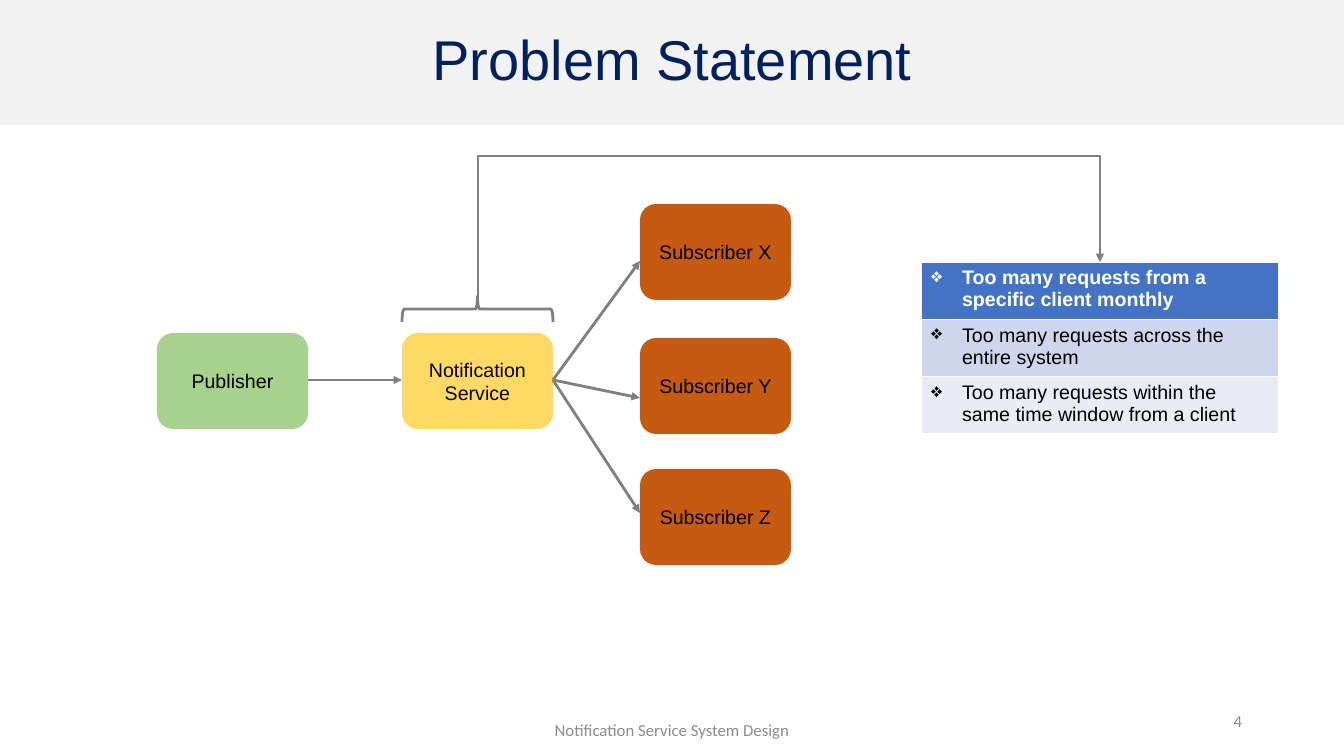
import pptx
import pptx.dml.color
import pptx.enum.shapes
import pptx.enum.text
import pptx.oxml.ns
import pptx.util
from lxml import etree

SHAPE = pptx.enum.shapes.MSO_SHAPE
CONNECTOR = pptx.enum.shapes.MSO_CONNECTOR
ALIGN = pptx.enum.text.PP_ALIGN
qn = pptx.oxml.ns.qn

EMU_PER_PX = 914400 / 100.8
NODE_WIDTH, NODE_HEIGHT = 151, 96
ARROW_Y = 380
GRAY = "808080"


def px(length):
    return pptx.util.Emu(round(length * EMU_PER_PX))


def color(hex_string):
    return pptx.dml.color.RGBColor.from_string(hex_string)


def style_font(paragraph, size, hex_string, name="Arial", bold=False):
    font = paragraph.font
    font.size = pptx.util.Pt(size)
    font.name = name
    font.bold = bold
    font.color.rgb = color(hex_string)


def fill_text(shape, text, size, hex_string, name="Arial", align=ALIGN.CENTER):
    frame = shape.text_frame
    frame.word_wrap = True
    frame.vertical_anchor = pptx.enum.text.MSO_ANCHOR.MIDDLE
    paragraph = frame.paragraphs[0]
    paragraph.text = text
    paragraph.alignment = align
    style_font(paragraph, size, hex_string, name)
    return paragraph


def add_block(slide, kind, box, fill):
    shape = slide.shapes.add_shape(kind, *map(px, box))
    shape.shadow.inherit = False
    shape.fill.solid()
    shape.fill.fore_color.rgb = color(fill)
    shape.line.fill.background()
    return shape


def add_title(slide, box, text):
    banner = add_block(slide, SHAPE.RECTANGLE, box, "F2F2F2")
    fill_text(banner, text, 40, "002060").line_spacing = 0.9


def add_footer(slide, box, text, align):
    footer = slide.shapes.add_textbox(*map(px, box))
    fill_text(footer, text, 12, "8C8C8C", "Calibri", align)


def add_node(slide, left, top, text, fill):
    box = (left, top, NODE_WIDTH, NODE_HEIGHT)
    node = add_block(slide, SHAPE.ROUNDED_RECTANGLE, box, fill)
    fill_text(node, text, 14, "000000")


def add_arrow(slide, start, end, kind=CONNECTOR.STRAIGHT):
    arrow = slide.shapes.add_connector(kind, *map(px, (*start, *end)))
    arrow.line.color.rgb = color(GRAY)
    arrow.line.width = pptx.util.Pt(2)
    etree.SubElement(arrow.line._get_or_add_ln(), qn("a:tailEnd"), type="triangle")
    etree.SubElement(arrow._element.spPr, qn("a:effectLst"))
    return arrow


def add_flow(slide, left, top):
    """Publisher, service and subscribers, with the arrows between them."""
    service_left, subscriber_left = left + 245, left + 483
    add_node(slide, left, top, "Publisher", "A9D18E")
    add_node(slide, service_left, top, "Notification Service", "FFD966")
    add_arrow(slide, (left + NODE_WIDTH, ARROW_Y), (service_left, ARROW_Y))
    subscribers = [("X", 204, 261), ("Y", 338, 398), ("Z", 469, 513)]
    for letter, node_top, arrow_end in subscribers:
        add_node(slide, subscriber_left, node_top, f"Subscriber {letter}", "C55A11")
        add_arrow(slide, (service_left + NODE_WIDTH, ARROW_Y),
                  (subscriber_left, arrow_end))


def add_brace(slide, left, top, width, height):
    """Brace that opens downwards: a right brace turned by 270 degrees."""
    shift = (width - height) / 2
    brace = slide.shapes.add_shape(
        SHAPE.RIGHT_BRACE, px(left + shift), px(top - shift), px(height), px(width))
    brace.rotation = 270
    brace.shadow.inherit = False
    brace.fill.background()
    brace.line.color.rgb = color(GRAY)
    brace.line.width = pptx.util.Pt(2)


def add_overhead_arrow(slide, start, end, peak):
    """Elbow that rises from start to peak, runs across and drops to end."""
    center_x, center_y = (start[0] + end[0]) / 2, (start[1] + end[1]) / 2
    rise, span = start[1] - end[1], end[0] - start[0]
    arrow = add_arrow(slide, (center_x + rise / 2, center_y + span / 2),
                      (center_x - rise / 2, center_y - span / 2), CONNECTOR.ELBOW)
    properties = arrow._element.spPr
    properties.find(qn("a:xfrm")).set("rot", str(90 * 60000))
    adjustments = properties.find(qn("a:prstGeom")).find(qn("a:avLst"))
    bend = round((start[1] - peak) / rise * 100000)
    etree.SubElement(adjustments, qn("a:gd"), name="adj1", fmla=f"val {bend}")


def add_problems(slide, box):
    problems = [
        ("Too many requests from a specific client monthly", "4472C4", "FFFFFF"),
        ("Too many requests across the entire system", "CFD5EA", "000000"),
        ("Too many requests within the same time window from a client",
         "E9EBF5", "000000"),
    ]
    table = slide.shapes.add_table(len(problems), 1, *map(px, box)).table
    for row, (text, fill, text_color) in enumerate(problems):
        cell = table.cell(row, 0)
        cell.fill.solid()
        cell.fill.fore_color.rgb = color(fill)
        paragraph = cell.text_frame.paragraphs[0]
        paragraph.text = text
        style_font(paragraph, 14, text_color, bold=row == 0)
        # Hanging diamond bullet
        properties = paragraph._p.get_or_add_pPr()
        properties.set("marL", str(px(31)))
        properties.set("indent", str(px(-31)))
        bullet = etree.Element(qn("a:buChar"), char="❖")
        properties.insert(0, bullet)


def main():
    presentation = pptx.Presentation()
    presentation.slide_width, presentation.slide_height = px(1344), px(756)
    slide = presentation.slides.add_slide(presentation.slide_layouts[6])

    add_title(slide, (0, -1, 1344, 126), "Problem Statement")
    add_footer(slide, (950, 701, 302, 40), "4", ALIGN.RIGHT)
    add_footer(slide, (445, 710, 454, 40), "Notification Service System Design",
               ALIGN.CENTER)
    add_flow(slide, 157, 333)
    add_problems(slide, (921, 262, 358, 161))
    add_brace(slide, 402, 296, NODE_WIDTH, 26)
    add_overhead_arrow(slide, (478, 296), (1100, 262), 156)
    presentation.save("out.pptx")


if __name__ == "__main__":
    main()
